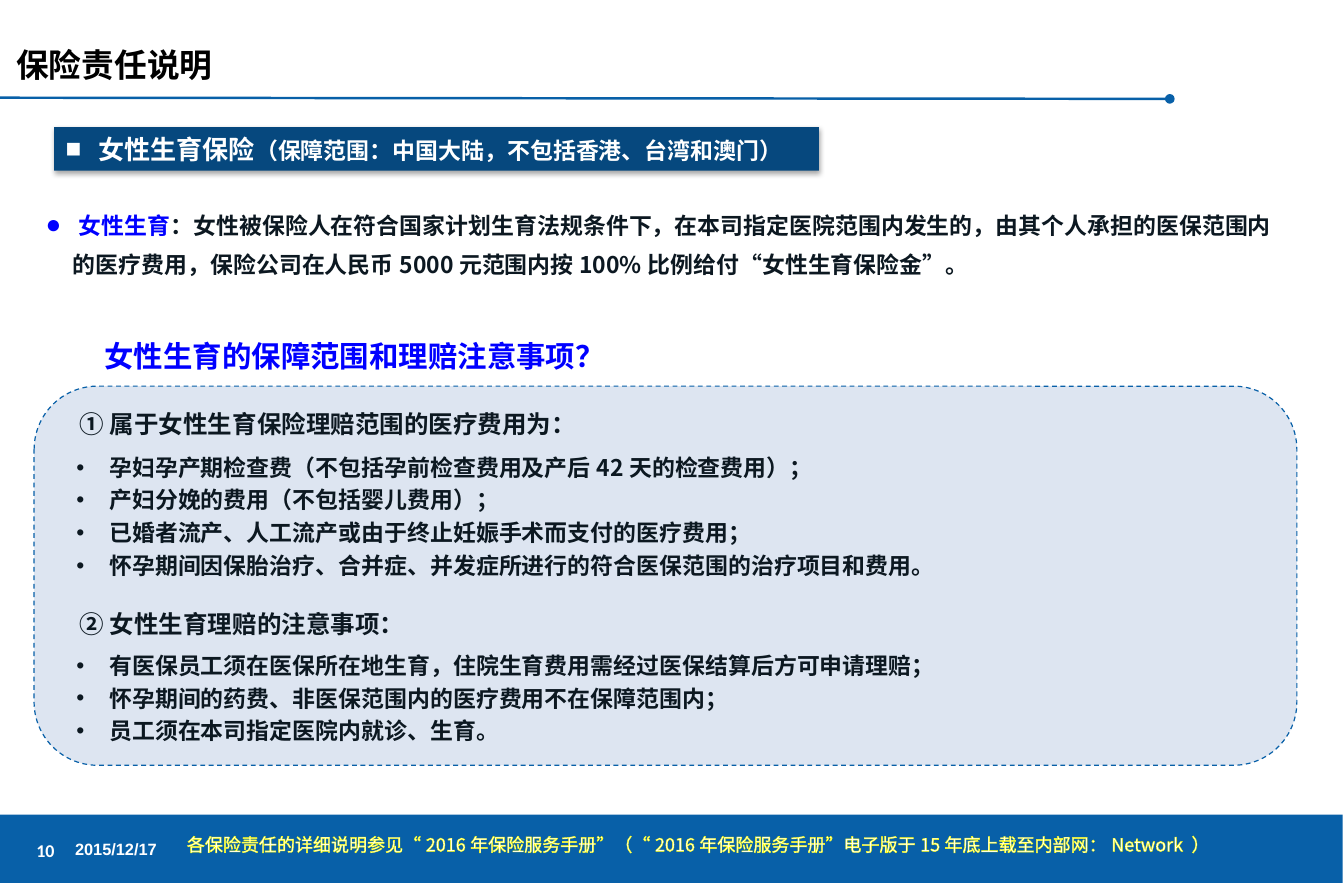
from dataclasses import dataclass

from lxml import etree
from pptx import Presentation
from pptx.dml.color import RGBColor
from pptx.enum.dml import MSO_LINE
from pptx.enum.shapes import MSO_CONNECTOR, MSO_SHAPE
from pptx.enum.text import MSO_ANCHOR
from pptx.oxml.ns import qn
from pptx.util import Inches, Pt

RECT, ROUND = MSO_SHAPE.RECTANGLE, MSO_SHAPE.ROUNDED_RECTANGLE
STRAIGHT, DASH = MSO_CONNECTOR.STRAIGHT, MSO_LINE.DASH
TOP, MIDDLE = MSO_ANCHOR.TOP, MSO_ANCHOR.MIDDLE


@dataclass(frozen=True)
class Theme:
    blue: str = "0860A8"
    navy: str = "06487E"
    pale: str = "DDE5F1"
    ink: str = "0C1821"
    key: str = "0000FF"
    black: str = "000000"
    white: str = "FFFFFF"
    yellow: str = "FFFF00"
    font: str = "Noto Sans CJK SC"
    title: int = 20
    head: int = 18
    lead: int = 16
    sub: int = 15
    body: int = 14
    foot: int = 11
    date: int = 10


T = Theme()

COSTS = [
    "孕妇孕产期检查费（不包括孕前检查费用及产后42天的检查费用）；",
    "产妇分娩的费用（不包括婴儿费用）；",
    "已婚者流产、人工流产或由于终止妊娠手术而支付的医疗费用；",
    "怀孕期间因保胎治疗、合并症、并发症所进行的符合医保范围的治疗项目和费用。",
]
NOTES = [
    "有医保员工须在医保所在地生育，住院生育费用需经过医保结算后方可申请理赔；",
    "怀孕期间的药费、非医保范围内的医疗费用不在保障范围内；",
    "员工须在本司指定医院内就诊、生育。",
]


def node(up, tag, **atts):
    return etree.SubElement(up, qn(tag), {k: str(v) for k, v in atts.items()})


def add_shade(up, blur, dist, alpha):
    """Append a downward outer shadow to shape or run properties."""
    fx = node(up, "a:effectLst")
    cast = node(fx, "a:outerShdw", blurRad=Pt(blur), dist=Pt(dist),
                dir=5400000, algn="t", rotWithShape=0)
    tint = node(cast, "a:srgbClr", val=T.black)
    node(tint, "a:alpha", val=alpha * 1000)
    return fx


def add_box(slide, kind, at, fill, line=None):
    box = slide.shapes.add_shape(kind, *map(Inches, at))
    box.shadow.inherit = False
    box.fill.solid()
    box.fill.fore_color.rgb = RGBColor.from_string(fill)
    if line:
        box.line.color.rgb = RGBColor.from_string(line)
        box.line.width = Pt(0.75)
        box.line.dash_style = DASH
    else:
        box.line.fill.background()
    return box


def add_rule(slide, start, end):
    """Draw the title line with a dot at its end."""
    rule = slide.shapes.add_connector(STRAIGHT, *map(Inches, start + end))
    rule.line.color.rgb = RGBColor.from_string(T.blue)
    rule.line.width = Pt(1.5)
    node(rule.line._get_or_add_ln(), "a:tailEnd", type="oval")
    node(rule._element.spPr, "a:effectLst")


def add_text(slide, at):
    frame = slide.shapes.add_textbox(*map(Inches, at)).text_frame
    frame.word_wrap = True
    frame.vertical_anchor = TOP
    return frame


def add_para(frame, pitch=None, before=0, left=0, hang=0, mark=None):
    first = frame.paragraphs[0]
    para = frame.add_paragraph() if first.runs else first
    if pitch:
        para.line_spacing = Pt(pitch)
    para.space_before = Pt(before)
    props = para._p.get_or_add_pPr()
    props.set("marL", str(Inches(left)))
    props.set("indent", str(-Inches(hang)))
    props.set("algn", "l")
    if mark:
        node(props, "a:buFont", typeface="Arial")
        node(props, "a:buChar", char=mark)
    return para


def add_run(para, text, size, color, bold=True, font=T.font, shade=False, edge=None):
    run = para.add_run()
    run.text = text
    run.font.size, run.font.bold = Pt(size), bold
    run.font.color.rgb = RGBColor.from_string(color)
    run.font.name = font
    props = run._r.get_or_add_rPr()
    props.set("lang", "zh-CN")
    node(props, "a:ea", typeface=font)
    if edge:
        line = etree.Element(qn("a:ln"), w=str(Pt(0.75)))
        node(node(line, "a:solidFill"), "a:srgbClr", val=edge)
        props.insert(0, line)
    if shade:
        props.find(qn("a:latin")).addprevious(add_shade(props, 3, 2, 40))


def add_label(slide, at, text, size, color, **style):
    add_run(add_para(add_text(slide, at)), text, size, color, **style)


def add_sub(frame, text):
    add_run(add_para(frame, 19, left=0.29), text, T.sub, T.ink)


def add_list(frame, items, before=0):
    for i, item in enumerate(items):
        para = add_para(frame, 20, 0 if i else before, 0.54, 0.28, "•")
        add_run(para, item, T.body, T.ink)


def add_banner(slide):
    box = add_box(slide, RECT, (0.46, 1.08, 6.5, 0.37), T.navy)
    props = box._element.spPr
    props.remove(props.find(qn("a:effectLst")))
    add_shade(props, 3.1, 1.8, 35)
    frame = box.text_frame
    frame.word_wrap = True
    frame.vertical_anchor = MIDDLE
    para = add_para(frame, left=0.28, hang=0.28, mark="■")
    add_run(para, "女性生育保险", T.lead, T.white)
    add_run(para, "（保障范围：中国大陆，不包括香港、台湾和澳门）", T.body, T.white)


def add_intro(slide):
    frame = add_text(slide, (0.29, 1.67, 10.75, 0.75))
    para = add_para(frame, 23, 6, 0.23, 0.23, "●")
    add_run(para, " ", T.lead, T.key)
    add_run(para, "女性生育", T.body, T.key)
    add_run(para, "：女性被保险人在符合国家计划生育法规条件下，在本司指定医院范围内发生的，"
            "由其个人承担的医保范围内的医疗费用，保险公司在人民币5000元范围内按100%比例"
            "给付“女性生育保险金”。", T.body, T.ink)


def add_panel(slide):
    box = add_box(slide, ROUND, (0.29, 3.28, 10.73, 3.22), T.pale, T.blue)
    box.adjustments[0] = 0.167
    costs = add_text(slide, (0.29, 3.41, 10.75, 1.57))
    add_sub(costs, "① 属于女性生育保险理赔范围的医疗费用为：")
    add_list(costs, COSTS, 6)
    add_sub(add_text(slide, (0.29, 5.11, 10.75, 0.36)), "② 女性生育理赔的注意事项：")
    add_list(add_text(slide, (0.29, 5.44, 11.12, 0.94)), NOTES)


def add_footer(slide):
    add_box(slide, RECT, (0, 6.92, 11.41, 0.58), T.blue)
    add_label(slide, (0.21, 7.08, 0.52, 0.33), "10", T.foot, T.white, font="Calibri")
    add_label(slide, (0.54, 7.08, 0.94, 0.33), "2015/12/17", T.date, T.white, font="Arial")
    add_label(slide, (1.49, 7.03, 9.14, 0.33),
              "各保险责任的详细说明参见“2016年保险服务手册”"
              "（“2016年保险服务手册”电子版于15年底上载至内部网：Network ）",
              T.foot, T.white, bold=False, shade=True, edge=T.yellow)


def main():
    deck = Presentation()
    deck.slide_width, deck.slide_height = Inches(11.42), Inches(7.5)
    slide = deck.slides.add_slide(deck.slide_layouts[6])
    add_rule(slide, (0, 0.83), (9.94, 0.84))
    add_label(slide, (0.04, 0.33, 7.33, 0.43), "保险责任说明", T.title, T.black)
    add_banner(slide)
    add_intro(slide)
    add_label(slide, (0.79, 2.82, 7.33, 0.4), "女性生育的保障范围和理赔注意事项？",
              T.head, T.key, shade=True)
    add_panel(slide)
    add_footer(slide)
    deck.save("out.pptx")


if __name__ == "__main__":
    main()
